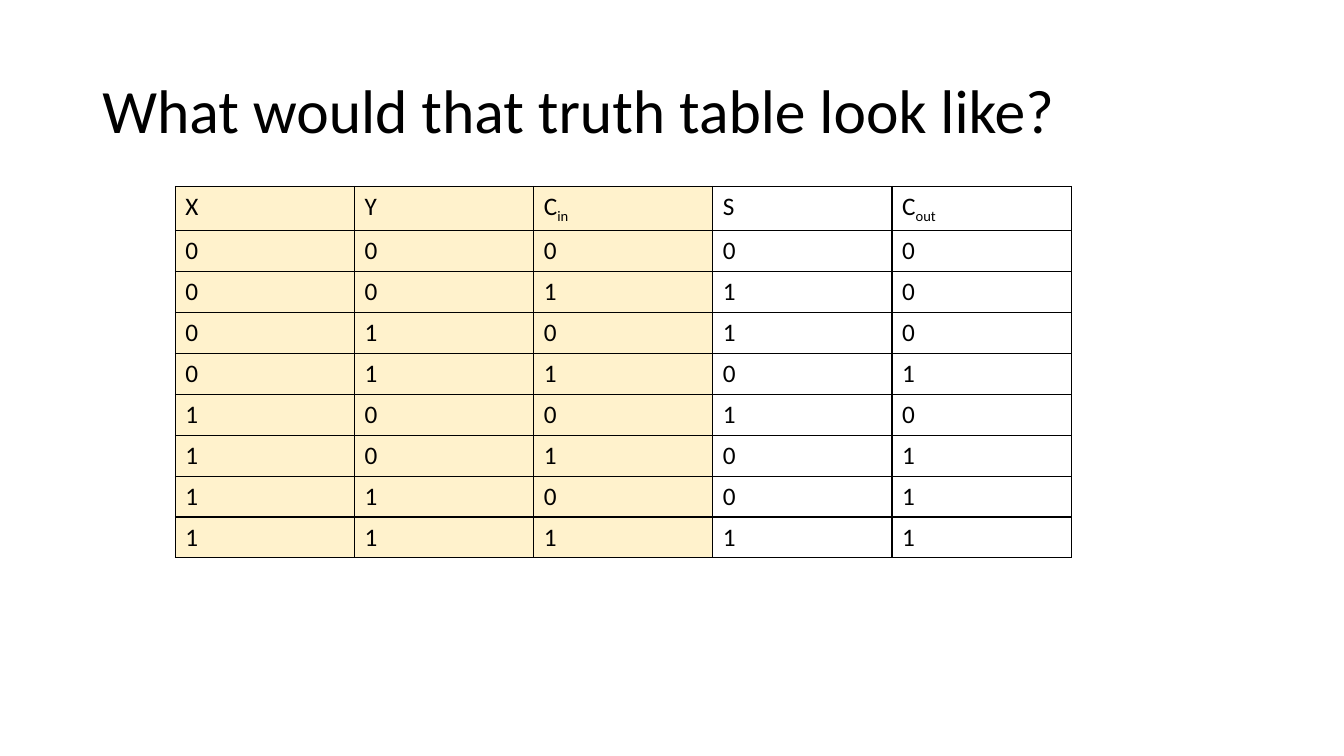
from itertools import product

from lxml.etree import SubElement
from pptx import Presentation
from pptx.dml.color import RGBColor
from pptx.enum.text import MSO_ANCHOR
from pptx.oxml.ns import qn
from pptx.util import Pt

FONT = "Calibri"
BLACK = "000000"
INPUT_FILL = "FFF2CC"
INPUT_COUNT = 3
# Each heading is a name and its subscript.
HEADINGS = [("X", ""), ("Y", ""), ("C", "in"), ("S", ""), ("C", "out")]


def color(hex_string):
    return RGBColor.from_string(hex_string)


def add_run(paragraph, text, size, subscript=False):
    run = paragraph.add_run()
    run.text = text
    run.font.name = FONT
    run.font.size = Pt(size)
    run.font.color.rgb = color(BLACK)
    if subscript:
        run.font._element.set("baseline", "-25000")


def set_borders(cell, hex_string, width):
    properties = cell._tc.get_or_add_tcPr()
    for position, side in enumerate(("lnL", "lnR", "lnT", "lnB")):
        line = SubElement(properties, qn(f"a:{side}"), w=str(Pt(width)))
        fill = SubElement(line, qn("a:solidFill"))
        SubElement(fill, qn("a:srgbClr"), val=hex_string)
        properties.insert(position, line)


def full_adder_rows():
    """Return every input combination with its sum and carry."""
    rows = []
    for inputs in product((0, 1), repeat=INPUT_COUNT):
        carry, total = divmod(sum(inputs), 2)
        rows.append([(str(bit), "") for bit in (*inputs, total, carry)])
    return rows


def add_title(slide, text, left, top, width, height):
    shape = slide.shapes.add_textbox(Pt(left), Pt(top), Pt(width), Pt(height))
    frame = shape.text_frame
    frame.word_wrap = True
    frame.vertical_anchor = MSO_ANCHOR.MIDDLE
    paragraph = frame.paragraphs[0]
    paragraph.line_spacing = 0.9
    add_run(paragraph, text, 44)


def add_truth_table(slide, left, top, width, height):
    rows = [HEADINGS] + full_adder_rows()
    table = slide.shapes.add_table(
        len(rows), len(HEADINGS), Pt(left), Pt(top), Pt(width), Pt(height)
    ).table
    table.first_row = False
    table.horz_banding = False
    for row in table.rows:
        row.height = Pt(height / len(rows))
    for row_index, entries in enumerate(rows):
        for column_index, (text, subscript) in enumerate(entries):
            cell = table.cell(row_index, column_index)
            if column_index < INPUT_COUNT:
                cell.fill.solid()
                cell.fill.fore_color.rgb = color(INPUT_FILL)
            else:
                cell.fill.background()
            set_borders(cell, BLACK, 1)
            paragraph = cell.text_frame.paragraphs[0]
            add_run(paragraph, text, 18)
            if subscript:
                add_run(paragraph, subscript, 18, subscript=True)


def main():
    presentation = Presentation()
    presentation.slide_width = Pt(960)
    presentation.slide_height = Pt(540)
    slide = presentation.slides.add_slide(presentation.slide_layouts[6])
    add_title(slide, "What would that truth table look like?", 66, 28.75, 828, 104.4)
    add_truth_table(slide, 125.25, 133.15, 640, 262.8)
    presentation.save("out.pptx")


if __name__ == "__main__":
    main()
